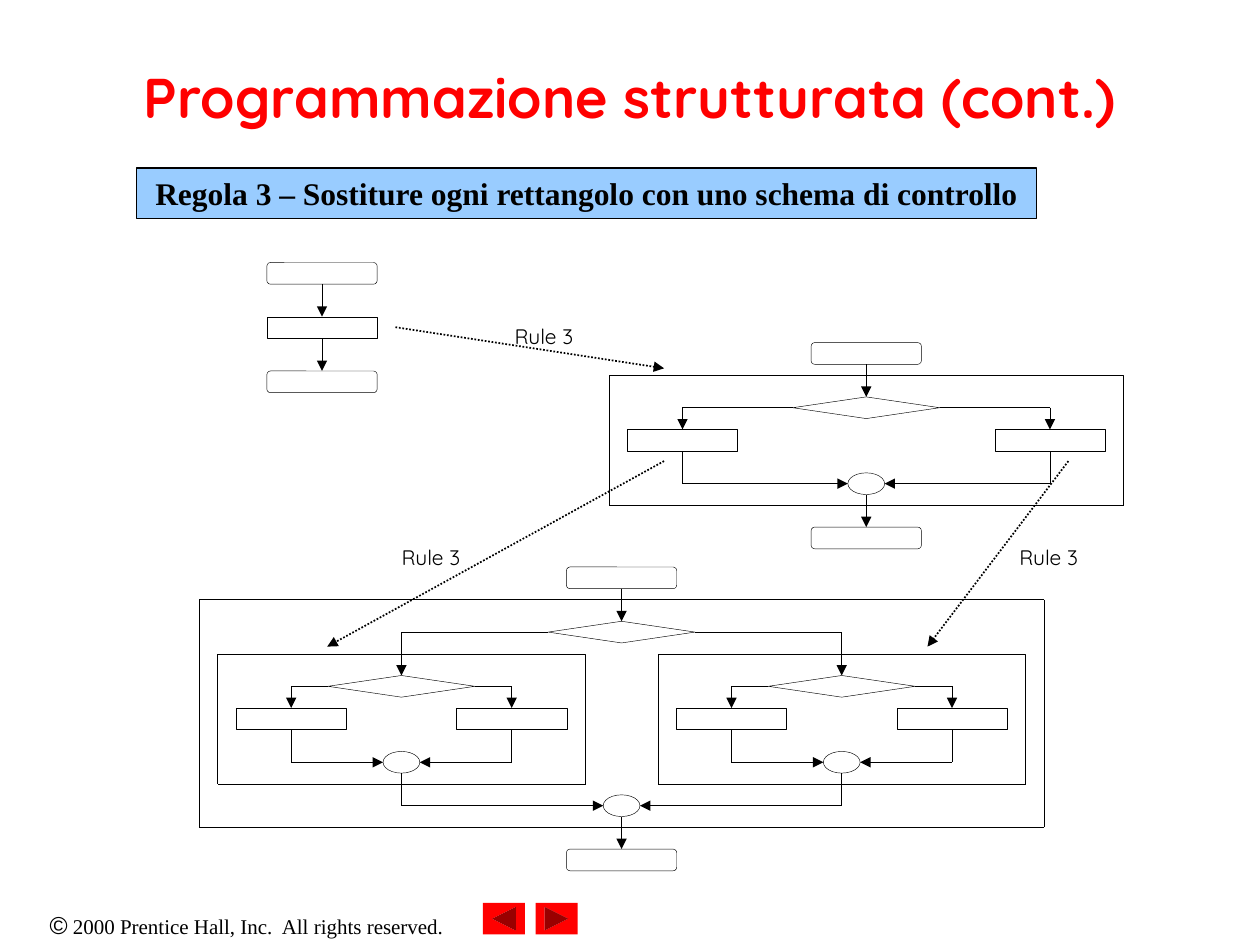
from pptx import Presentation
from pptx.dml.color import RGBColor
from pptx.enum.dml import MSO_LINE_DASH_STYLE as Dash
from pptx.enum.shapes import MSO_CONNECTOR as Link, MSO_SHAPE as Kind
from pptx.enum.text import MSO_ANCHOR as Anchor, PP_ALIGN as Align
from pptx.oxml.ns import qn
from pptx.util import Pt
from lxml.etree import SubElement

COLORS = {"ink": "000000", "red": "FF0000", "blue": "99CCFF", "white": "FFFFFF"}
UNIT = 6.2        # vertical step of the flowcharts
TALL = 2 * UNIT   # height of every symbol
BOX, GATE, JOIN = 63, 84, 21   # symbol widths
GAP = 10.5        # side margin inside a frame
THIN = {"width": Pt(0.25)}
FRAME = {"width": Pt(0.25), "dash_style": Dash.ROUND_DOT}
DOTS = {"width": Pt(1), "dash_style": Dash.ROUND_DOT}
TITLE = {"name": "Quicksand", "size": Pt(32), "bold": True}
LABEL = {"name": "Quicksand", "size": Pt(12)}
RULE = {"name": "Times New Roman", "size": Pt(18), "bold": True}
MARK = {"name": "Arial", "size": Pt(14)}
NOTE = {"name": "Times New Roman", "size": Pt(12)}


def color(name):
    return RGBColor.from_string(COLORS[name])


def apply(item, look):
    for key, value in look.items():
        setattr(item, key, value)


def shape(tree, kind, x, y, w, h, fill=None, look=THIN):
    item = tree.add_shape(kind, Pt(x), Pt(y), Pt(w), Pt(h))
    item.shadow.inherit = False
    if fill:
        item.fill.solid()
        item.fill.fore_color.rgb = color(fill)
    else:
        item.fill.background()
    if look:
        item.line.color.rgb = color("ink")
        apply(item.line, look)
    else:
        item.line.fill.background()
    return item


def symbol(tree, kind, cx, y, width, fill=None):
    return shape(tree, kind, cx - width / 2, y, width, TALL, fill)


def term(tree, cx, y):
    return symbol(tree, Kind.ROUNDED_RECTANGLE, cx, y, BOX)


def line(tree, start, end, head=False, look=THIN, first=None, last=None):
    item = tree.add_connector(Link.STRAIGHT, *map(Pt, start + end))
    if first:
        item.begin_connect(*first)
    if last:
        item.end_connect(*last)
    item.line.color.rgb = color("ink")
    apply(item.line, look)
    if head:
        SubElement(item.line._get_or_add_ln(), qn("a:tailEnd"), type="triangle")
    SubElement(item._element.spPr, qn("a:effectLst"))


def write(item, runs, ink="ink", align=Align.LEFT, anchor=Anchor.MIDDLE):
    frame = item.text_frame
    apply(frame, {"word_wrap": True, "vertical_anchor": anchor})
    para = frame.paragraphs[0]
    para.alignment = align
    for text, look in runs:
        run = para.add_run()
        run.text = text
        apply(run.font, look)
        run.font.color.rgb = color(ink)


def textbox(tree, x, y, w, h, runs, inset=True, **style):
    item = tree.add_textbox(Pt(x), Pt(y), Pt(w), Pt(h))
    if not inset:
        sides = ("left", "top", "right", "bottom")
        apply(item.text_frame, {f"margin_{side}": 0 for side in sides})
    write(item, runs, **style)


def basic(tree, cx, y):
    """Start, one action and end in a column."""
    step = 5 * UNIT
    kinds = (Kind.ROUNDED_RECTANGLE, Kind.RECTANGLE, Kind.ROUNDED_RECTANGLE)
    items = [symbol(tree, kind, cx, y + i * step, BOX) for i, kind in enumerate(kinds)]
    for i, (top, low) in enumerate(zip(items, items[1:])):
        edge = y + i * step
        line(tree, (cx, edge + TALL), (cx, edge + step), True,
             first=(top, 2), last=(low, 0))


def choice(tree, cx, y, reach, deep=False):
    """Framed if/else; a deep one holds a choice in each branch."""
    gate = symbol(tree, Kind.DIAMOND, cx, y, GATE, "white")
    mid = y + UNIT
    top = y + (5 if deep else 3) * UNIT
    for side in (-1, 1):
        x = cx + side * reach
        if deep:
            goal, base, half = choice(tree, x, top, BOX)
            out = None
        else:
            goal = symbol(tree, Kind.RECTANGLE, x, top, BOX)
            base, half, out = top + TALL, BOX / 2, (goal, 2)
        hub = base + 3 * UNIT
        # Branch from the gate, then back to the join
        line(tree, (cx + side * GATE / 2, mid), (x, mid), first=(gate, 2 + side))
        line(tree, (x, mid), (x, top), True, last=(goal, 0))
        line(tree, (x, base), (x, hub), first=out)
        line(tree, (x, hub), (cx + side * JOIN / 2, hub), True)
    symbol(tree, Kind.OVAL, cx, hub - UNIT, JOIN)
    wide = reach + half + GAP
    shape(tree, Kind.RECTANGLE, cx - wide, y - TALL, 2 * wide,
          hub - y + 2 * TALL - UNIT * 0 - TALL + TALL, look=FRAME)
    return gate, hub + UNIT, wide


def chart(tree, cx, y, reach, deep=False):
    """A choice between a start and an end symbol."""
    start = term(tree, cx, y)
    top = y + 5 * UNIT
    gate, base, _ = choice(tree, cx, top, reach, deep)
    end = term(tree, cx, base + 3 * UNIT)
    line(tree, (cx, y + TALL), (cx, top), True, first=(start, 2), last=(gate, 0))
    line(tree, (cx, base), (cx, base + 3 * UNIT), True, last=(end, 0))


def main():
    deck = Presentation()
    apply(deck, {"slide_width": Pt(720), "slide_height": Pt(540)})
    tree = deck.slides.add_slide(deck.slide_layouts[6]).shapes

    # Footer and page buttons
    textbox(tree, 0, 516, 282, 24.5,
            [("©", MARK), (" 2000 Prentice Hall, Inc.  All rights reserved.", NOTE)],
            align=Align.CENTER)
    for x, turn in ((306, 0), (276, 180)):
        button = shape(tree, Kind.ACTION_BUTTON_FORWARD_OR_NEXT, x, 516, 24, 18,
                       "red", None)
        button.rotation = turn

    # Title and rule
    textbox(tree, 54, 20, 612, 70, [("Programmazione strutturata (cont.)", TITLE)],
            ink="red", align=Align.CENTER)
    banner = shape(tree, Kind.RECTANGLE, 78, 96, 514.5, 28.8, "blue",
                   {"width": Pt(0.75)})
    write(banner,
          [("Regola 3 – Sostiture ogni rettangolo con uno schema di controllo", RULE)],
          align=Align.CENTER)

    # Flowcharts
    basic(tree, 184, 150)
    chart(tree, 495, 195.8, 105)
    chart(tree, 355.2, 324, 125.8, deep=True)

    # Dotted arrows and their labels
    for start, end in (((226, 187), (379.5, 210.5)),
                       ((379.5, 263.5), (187, 369.5)),
                       ((610.5, 263.5), (530, 369.5))):
        line(tree, start, end, True, DOTS)
    for x, y in ((294, 185), (582.5, 311), (229.5, 311)):
        textbox(tree, x, y, 54, 12.5, [("Rule 3", LABEL)], inset=False,
                anchor=Anchor.TOP)

    deck.save("out.pptx")


if __name__ == "__main__":
    main()
